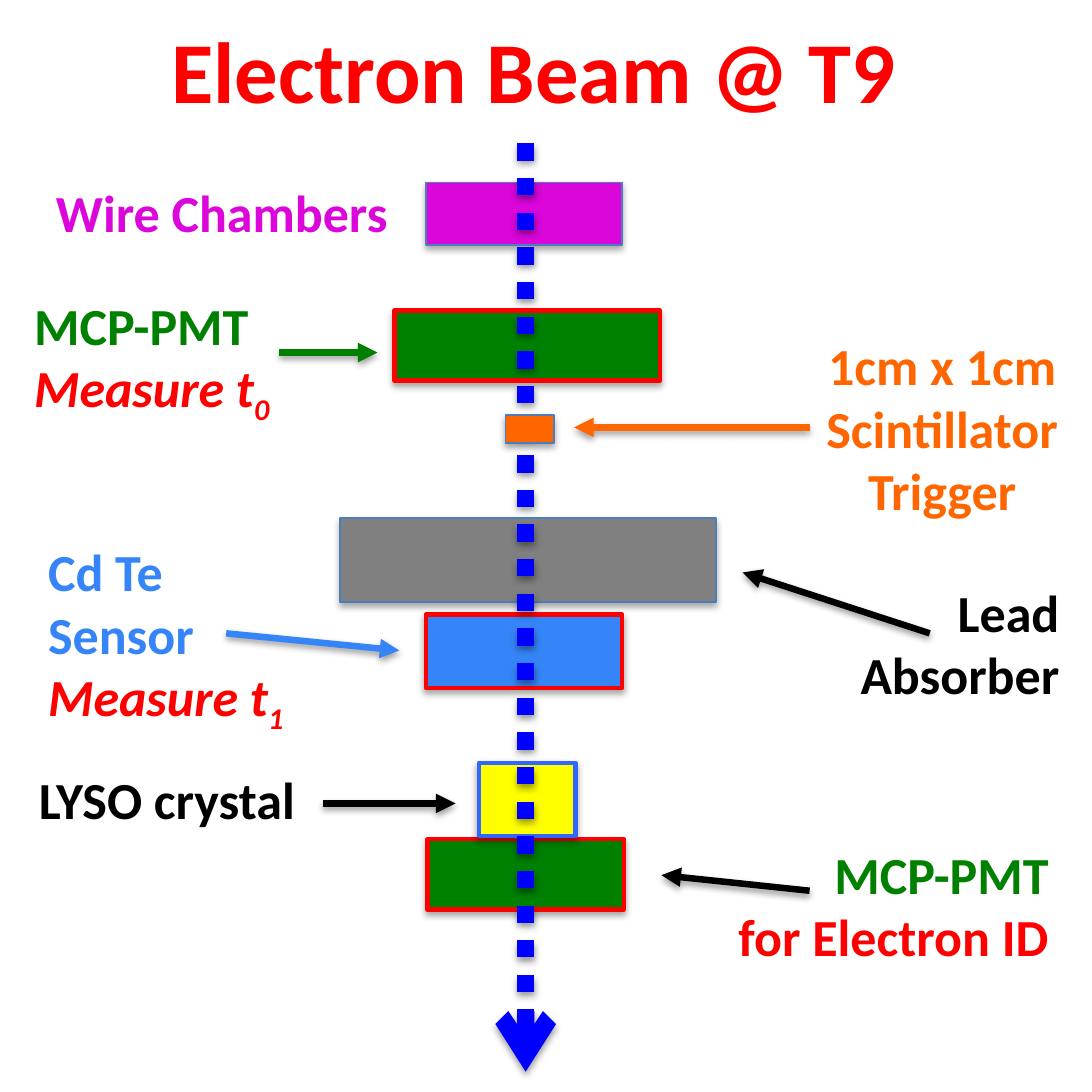
from dataclasses import dataclass

from lxml import etree
from pptx import Presentation
from pptx.dml.color import RGBColor
from pptx.enum.dml import MSO_LINE
from pptx.enum.shapes import MSO_CONNECTOR, MSO_SHAPE
from pptx.enum.text import MSO_AUTO_SIZE, PP_ALIGN
from pptx.oxml.ns import qn
from pptx.util import Emu, Pt

RECTANGLE = MSO_SHAPE.RECTANGLE
STRAIGHT = MSO_CONNECTOR.STRAIGHT
DOTTED = MSO_LINE.ROUND_DOT
FIT_SHAPE = MSO_AUTO_SIZE.SHAPE_TO_FIT_TEXT
LEFT, CENTER, RIGHT = PP_ALIGN.LEFT, PP_ALIGN.CENTER, PP_ALIGN.RIGHT

EMU_PER_PX = 9144  # 100 px to the inch
PAGE_SIZE = 700


@dataclass(frozen=True)
class Theme:
    font: str = "Calibri"
    title_size: int = 40
    label_size: int = 24
    red: str = "FF0000"
    green: str = "008000"
    magenta: str = "DA06DA"
    orange: str = "FF6600"
    sky: str = "3585F9"
    gray: str = "808080"
    yellow: str = "FFFF00"
    black: str = "000000"
    beam: str = "0000FF"
    crystal_edge: str = "3366FF"
    thin_edge: str = "4B7EBC"
    thin: float = 0.75
    thick: float = 2
    arrow_width: float = 3
    beam_width: float = 8


@dataclass(frozen=True)
class Box:
    left: int
    top: int
    width: int
    height: int

    def inner(self, left, top, width, height):
        """Return a box whose corner is given relative to this one."""
        return Box(self.left + left, self.top + top, width, height)

    def emu(self):
        return [px(n) for n in (self.left, self.top, self.width, self.height)]


THEME = Theme()


def px(count):
    return Emu(count * EMU_PER_PX)


def rgb(color):
    return RGBColor.from_string(color)


def add_shadow(shape, distance, opacity):
    """Give a soft shadow straight below, replacing the theme's effect."""
    effects = etree.SubElement(shape._element.spPr, qn("a:effectLst"))
    shadow = etree.SubElement(effects, qn("a:outerShdw"), blurRad="40000",
                              dist=str(distance), dir="5400000", rotWithShape="0")
    color = etree.SubElement(shadow, qn("a:srgbClr"), val=THEME.black)
    etree.SubElement(color, qn("a:alpha"), val=str(opacity * 1000))


def add_block(page, box, fill, edge, width):
    block = page.shapes.add_shape(RECTANGLE, *box.emu())
    block.fill.solid()
    block.fill.fore_color.rgb = rgb(fill)
    block.line.color.rgb = rgb(edge)
    block.line.width = Pt(width)
    add_shadow(block, distance=23000, opacity=35)


def add_arrow(page, start, end, color, width=THEME.arrow_width, head="triangle", dash=None):
    arrow = page.shapes.add_connector(STRAIGHT, *[px(n) for n in (*start, *end)])
    arrow.line.color.rgb = rgb(color)
    arrow.line.width = Pt(width)
    if dash is not None:
        arrow.line.dash_style = dash
    etree.SubElement(arrow.line._get_or_add_ln(), qn("a:tailEnd"), type=head)
    add_shadow(arrow, distance=20000, opacity=38)


def add_span(para, text, size, color, italic=False, subscript=False):
    span = para.add_run()
    span.text = text
    span.font.name = THEME.font
    span.font.size = Pt(size)
    span.font.bold = True
    span.font.italic = italic
    span.font.color.rgb = rgb(color)
    if subscript:
        span._r.get_or_add_rPr().set("baseline", "-25000")


def add_label(page, box, lines, size=THEME.label_size, align=LEFT, wrap=True):
    """Write lines of (text, color) or, for italics, (text, color, subscript)."""
    frame = page.shapes.add_textbox(*box.emu()).text_frame
    frame.word_wrap = wrap
    frame.auto_size = FIT_SHAPE
    for index, (text, color, *subscripts) in enumerate(lines):
        para = frame.add_paragraph() if index else frame.paragraphs[0]
        para.alignment = align
        add_span(para, text, size, color, italic=bool(subscripts))
        for subscript in subscripts:
            add_span(para, subscript, size, color, italic=True, subscript=True)


def draw_title(page, box):
    add_label(page, box, [("Electron Beam @ T9", THEME.red)], size=THEME.title_size)


def draw_detectors(page, box):
    thin_edge = (THEME.thin_edge, THEME.thin)
    red_edge = (THEME.red, THEME.thick)
    blocks = [
        ((56, 421, 126, 45), THEME.green, red_edge),
        ((89, 372, 62, 47), THEME.yellow, (THEME.crystal_edge, THEME.thick)),
        ((55, 0, 126, 40), THEME.magenta, thin_edge),
        ((0, 215, 241, 54), THEME.gray, thin_edge),
        ((55, 277, 126, 47), THEME.sky, red_edge),
        ((35, 82, 170, 45), THEME.green, red_edge),
    ]
    for place, fill, edge in blocks:
        add_block(page, box.inner(*place), fill, *edge)


def draw_beam(page, box):
    """Run the beam down the box, with the trigger in front of it."""
    add_arrow(page, (box.left, box.top), (box.left, box.top + box.height), THEME.beam,
              width=THEME.beam_width, head="arrow", dash=DOTTED)
    add_block(page, box.inner(-13, 174, 31, 18), THEME.orange, THEME.thin_edge, THEME.thin)


def draw_callout(page, box, lines, arrow=None, arrow_color=THEME.black, align=LEFT, wrap=True):
    """Place a label and an arrow whose ends are relative to the label's corner."""
    add_label(page, box, lines, align=align, wrap=wrap)
    if arrow:
        start, end = [(box.left + x, box.top + y) for x, y in arrow]
        add_arrow(page, start, end, arrow_color)


def draw_callouts(page):
    draw_callout(page, Box(26, 111, 235, 50), [("Wire Chambers", THEME.magenta)], wrap=False)
    draw_callout(page, Box(12, 183, 195, 90),
                 [("MCP-PMT", THEME.green), ("Measure t", THEME.red, "0")],
                 arrow=((167, 43), (230, 43)), arrow_color=THEME.green)
    draw_callout(page, Box(519, 209, 170, 131),
                 [(text, THEME.orange) for text in ("1cm x 1cm", "Scintillator", "Trigger")],
                 arrow=((0, 65), (-151, 65)), arrow_color=THEME.orange,
                 align=CENTER, wrap=False)
    draw_callout(page, Box(541, 367, 148, 90),
                 [("Lead", THEME.black), ("Absorber", THEME.black)],
                 arrow=((55, 39), (-65, 0)), align=RIGHT, wrap=False)
    draw_callout(page, Box(21, 341, 189, 131),
                 [("Cd Te Sensor", THEME.sky), ("Measure t", THEME.red, "1")],
                 arrow=((124, 65), (235, 76)), arrow_color=THEME.sky)
    draw_callout(page, Box(15, 487, 195, 50), [("LYSO crystal", THEME.black)],
                 arrow=((192, 28), (277, 28)))
    draw_callout(page, Box(441, 535, 241, 90),
                 [("MCP-PMT", THEME.green), ("for Electron ID", THEME.red)],
                 arrow=((78, 36), (-17, 26)), align=RIGHT)


def main():
    deck = Presentation()
    deck.slide_width = deck.slide_height = px(PAGE_SIZE)
    page = deck.slides.add_slide(deck.slide_layouts[6])
    draw_title(page, Box(100, 6, 543, 77))
    draw_detectors(page, Box(218, 117, 241, 466))
    draw_beam(page, Box(337, 92, 0, 595))
    draw_callouts(page)
    deck.save("out.pptx")


if __name__ == "__main__":
    main()
